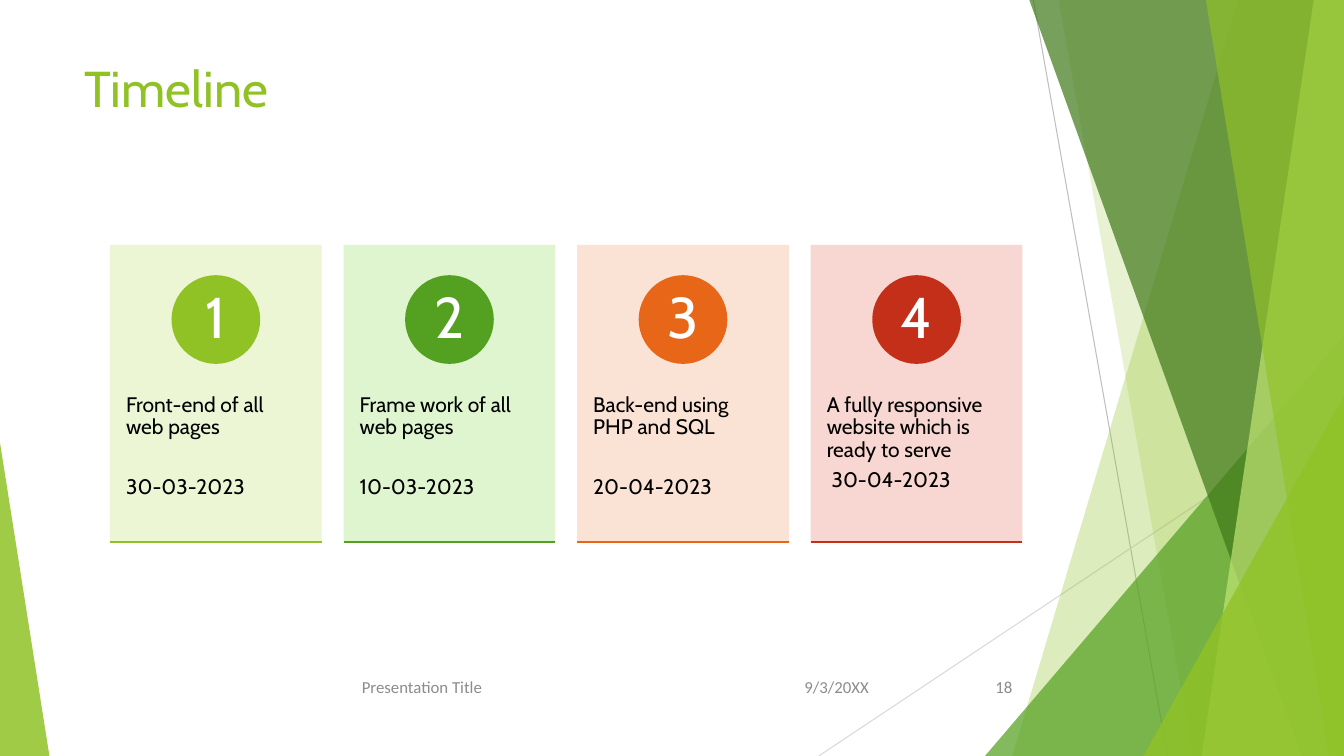
from dataclasses import dataclass

from lxml.etree import SubElement
from pptx import Presentation
from pptx.dml.color import RGBColor as RGB
from pptx.enum.shapes import MSO_CONNECTOR as CONN, MSO_SHAPE as SHAPE
from pptx.enum.text import MSO_ANCHOR as ANCHOR, PP_ALIGN as ALIGN
from pptx.oxml.ns import qn
from pptx.util import Inches, Pt

W, H = Inches(13.33), Inches(7.5)


@dataclass(frozen=True)
class Theme:
    """Colours, fonts and type sizes of the slide."""
    lime: str = "90C226"
    green: str = "54A021"
    forest: str = "3F7819"
    pale: str = "C0E474"
    orange: str = "E76618"
    red: str = "C42F1A"
    tints: tuple = ("EAF6D1", "DBF4CA", "FAE0D1", "F8D2CC")
    black: str = "000000"
    white: str = "FFFFFF"
    grey: str = "8C8C8C"
    rays: tuple = ("BFBFBF", "D9D9D9")
    font: str = "Cabin"
    footer_font: str = "Calibri"
    title_size: int = 36
    number_size: int = 41
    body_size: int = 15
    footer_size: int = 12


T = Theme()
MILESTONES = (
    (T.lime, "Front-end of all web pages", "30-03-2023", 21.4),
    (T.green, "Frame work of all web pages", "10-03-2023", 21.4),
    (T.orange, "Back-end using PHP and SQL", "20-04-2023", 21.4),
    (T.red, "A fully responsive website which is ready to serve", " 30-04-2023", 0),
)


def at(*shares):
    """Turn alternating x and y percentages of the slide into lengths."""
    return [int(v * (H if i % 2 else W) / 100) for i, v in enumerate(shares)]


def assign(obj, values):
    """Set each named value on an object."""
    for name, value in values.items():
        setattr(obj, name, value)


def paint(s, color, opacity=100):
    """Give a shape a flat fill without outline or shadow."""
    s.shadow.inherit = False
    s.fill.solid()
    s.fill.fore_color.rgb = RGB.from_string(color)
    s.line.fill.background()
    if opacity < 100:
        clr = s._element.spPr.find(qn("a:solidFill")).find(qn("a:srgbClr"))
        SubElement(clr, qn("a:alpha")).set("val", str(opacity * 1000))
    return s


def add_line(shapes, ends, color, width):
    """Draw a straight line between two points."""
    c = shapes.add_connector(CONN.STRAIGHT, *at(*ends))
    c.line.color.rgb = RGB.from_string(color)
    c.line.width = Pt(width)
    SubElement(c._element.spPr, qn("a:effectLst"))


def add_facet(shapes, top, bottom, color, opacity):
    """Draw a full-height band from a slanted edge to the right margin."""
    fb = shapes.build_freeform(*at(top, 0))
    corners = ((100, 0), (100, 100), (bottom, 100))
    fb.add_line_segments([at(*corner) for corner in corners], close=True)
    paint(fb.convert_to_shape(), color, opacity)


def add_corner(shapes, box, apex, color, opacity):
    """Draw a right triangle whose apex lies at one side."""
    s = shapes.add_shape(SHAPE.ISOSCELES_TRIANGLE, *at(*box))
    s.adjustments[0] = apex
    paint(s, color, opacity)


def write(p, text, size, color, font=T.font, **layout):
    """Put one formatted run into a paragraph."""
    assign(p, layout)
    r = p.add_run()
    r.text = text
    assign(r.font, {"name": font, "size": Pt(size)})
    r.font.color.rgb = RGB.from_string(color)


def add_text(shapes, box, **frame):
    """Add a wrapping text box and return its frame."""
    tf = shapes.add_textbox(*at(*box)).text_frame
    assign(tf, {"word_wrap": True, **frame})
    return tf


def add_backdrop(shapes):
    """Draw the rays and the faceted edges."""
    for ends, color in zip(((76.89, 0, 86.87, 100), (100, 53.73, 60.92, 100)), T.rays):
        add_line(shapes, ends, color, 0.75)
    add_facet(shapes, 92.12, 75.32, T.lime, 30)
    add_facet(shapes, 78.77, 88.75, T.lime, 20)
    add_corner(shapes, (73.29, 44.4, 26.71, 55.6), 1, T.green, 72)
    add_facet(shapes, 76.59, 96.85, T.forest, 70)
    add_facet(shapes, 97.75, 89.42, T.pale, 70)
    add_facet(shapes, 89.72, 98.87, T.lime, 65)
    add_corner(shapes, (85.07, 52.4, 14.93, 47.6), 1, T.lime, 80)
    add_corner(shapes, (0, 58.53, 3.68, 41.47), 0, T.lime, 85)


def add_card(shapes, index, color, tint, task, date, gap):
    """Build one numbered milestone card in its column."""
    x, width = 8.18 + 17.38 * index, 15.75
    paint(shapes.add_shape(SHAPE.RECTANGLE, *at(x, 32.4, width, 39.33)), tint, 90)
    side, edge = Inches(0.16), Inches(0.36)
    tf = add_text(shapes, (x, 47.33, width, 23.6), margin_left=side,
                  margin_right=side, margin_top=edge, margin_bottom=edge)
    spacing = {"line_spacing": 0.9, "space_after": Pt(5.25)}
    write(tf.paragraphs[0], task, T.body_size, T.black, **spacing)
    write(tf.add_paragraph(), date, T.body_size, T.black,
          space_before=Pt(gap), **spacing)
    badge = paint(shapes.add_shape(SHAPE.OVAL, *at(x + 4.58, 36.4, 6.6, 11.73)), color)
    tf = badge.text_frame
    assign(tf, {"vertical_anchor": ANCHOR.MIDDLE, "margin_left": 0, "margin_right": 0,
                "margin_top": 0, "margin_bottom": 0})
    write(tf.paragraphs[0], str(index + 1), T.number_size, T.white,
          alignment=ALIGN.CENTER, line_spacing=0.9)
    add_line(shapes, (x, 71.73, x + width, 71.73), color, 1.5)


def add_footer(shapes):
    """Write the date, the footer and the slide number."""
    for x, width, text, align in ((59.11, 7.5, "9/3/20XX", ALIGN.LEFT),
                                  (5.55, 51.69, "Presentation Title", ALIGN.CENTER),
                                  (70.44, 5.63, "18", ALIGN.RIGHT)):
        tf = add_text(shapes, (x, 88.13, width, 5.33), vertical_anchor=ANCHOR.MIDDLE)
        write(tf.paragraphs[0], text, T.footer_size, T.grey, T.footer_font,
              alignment=align)


def main():
    """Build and save the timeline slide."""
    prs = Presentation()
    assign(prs, {"slide_width": W, "slide_height": H})
    shapes = prs.slides.add_slide(prs.slide_layouts[6]).shapes
    add_backdrop(shapes)
    tf = add_text(shapes, (5.55, 6.93, 70.52, 19.2))
    write(tf.paragraphs[0], "Timeline", T.title_size, T.lime)
    for i, (color, task, date, gap) in enumerate(MILESTONES):
        add_card(shapes, i, color, T.tints[i], task, date, gap)
    add_footer(shapes)
    prs.save("out.pptx")


if __name__ == "__main__":
    main()
